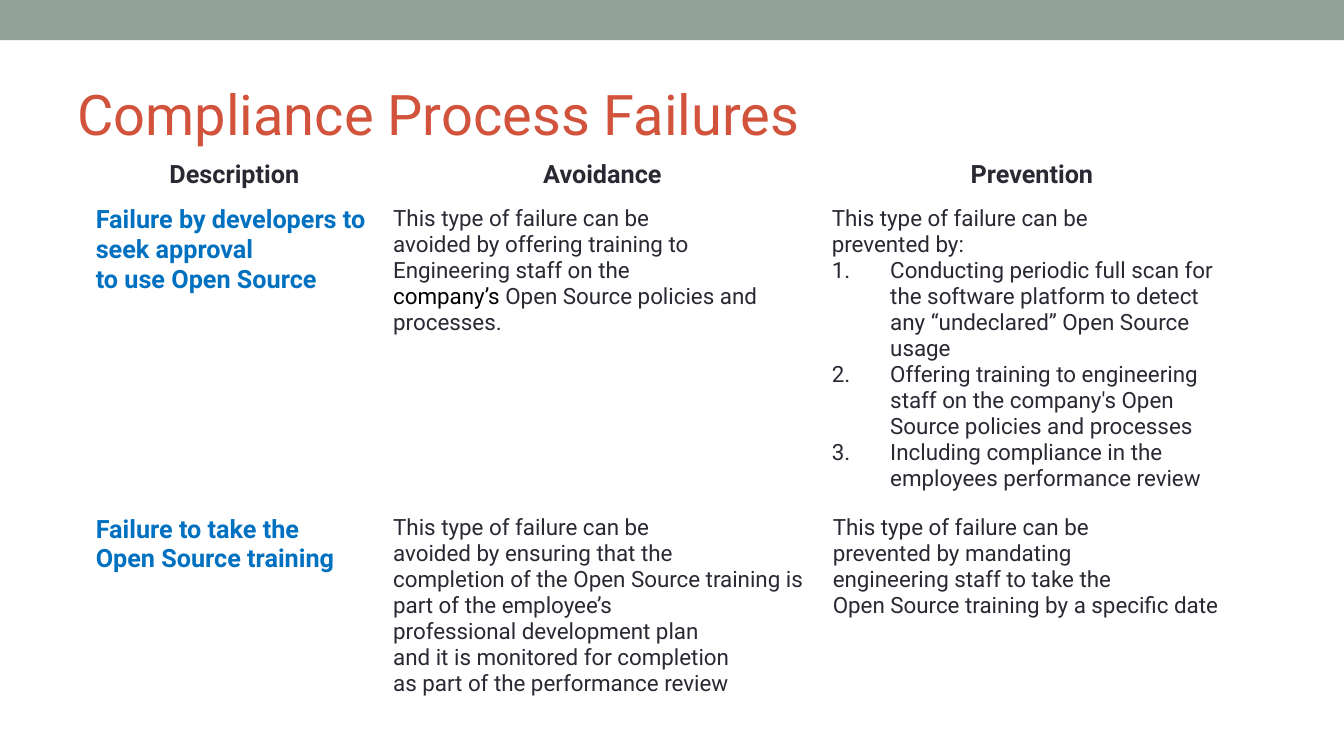
import pptx
import pptx.util
import pptx.dml.color
import pptx.enum.shapes
import pptx.enum.text
import pptx.oxml
import pptx.oxml.ns
from lxml import etree

Inches = pptx.util.Inches
align = pptx.enum.text.PP_ALIGN
qn = pptx.oxml.ns.qn

COLORS = {"band": "93A299", "title": "D2533C", "ink": "292934",
          "topic": "0070C0", "black": "000000", "white": "FFFFFF"}
FONT = "Roboto"
TITLE = "Compliance Process Failures"
HEADS = ["Description", "Avoidance", "Prevention"]
FAILS = [
    {"topic": ["Failure by developers to seek approval", "to use Open Source"],
     "avoid": ["This type of failure can be",
               "avoided by offering training to",
               "Engineering staff on the",
               [("company’s ", "black"), ("Open Source policies and", "ink")],
               "processes."],
     "prevent": ["This type of failure can be", "prevented by:"],
     "steps": ["Conducting periodic full scan for the software platform to detect "
               "any “undeclared” Open Source usage",
               "Offering training to engineering staff on the company's Open Source "
               "policies and processes",
               "Including compliance in the employees performance review"]},
    {"topic": ["Failure to take the", "Open Source training"],
     "avoid": ["This type of failure can be",
               "avoided by ensuring that the",
               "completion of the Open Source training is",
               "part of the employee’s",
               "professional development plan",
               "and it is monitored for completion",
               "as part of the performance review"],
     "prevent": ["This type of failure can be",
                 "prevented by mandating",
                 "engineering staff to take the",
                 "Open Source training by a specific date"],
     "steps": []},
]
COLS = [2.94, 4.36, 4.16]
ROWS = [0.45, 3.07, 2.18]
HANG = (0.38, -0.37)
DEEP = (0.58, -0.58)


def rgb(name):
    return pptx.dml.color.RGBColor.from_string(COLORS[name])


def write(frame, lines, size=16, color="ink", bold=False, side=align.LEFT,
          hang=(0, 0), steps=()):
    frame.word_wrap = True
    for i, line in enumerate([*lines, *steps]):
        para = frame.paragraphs[0] if i == 0 else frame.add_paragraph()
        para.alignment = side
        props = para._p.get_or_add_pPr()
        props.set("marL", str(Inches(hang[0])))
        props.set("indent", str(Inches(hang[1])))
        if i >= len(lines):
            etree.SubElement(props, qn("a:buFont"), typeface="+mj-lt")
            etree.SubElement(props, qn("a:buAutoNum"), type="arabicPeriod")
        for text, tint in [(line, color)] if isinstance(line, str) else line:
            run = para.add_run()
            run.text = text
            run.font.name = FONT
            run.font.size = pptx.util.Pt(size)
            run.font.bold = bold
            run.font.color.rgb = rgb(tint)


def border(cell):
    props = cell._tc.get_or_add_tcPr()
    for spot, tag in enumerate(["a:lnL", "a:lnR", "a:lnT", "a:lnB"]):
        line = etree.Element(qn(tag), w=str(pptx.util.Pt(0.06)))
        fill = etree.SubElement(line, qn("a:solidFill"))
        etree.SubElement(fill, qn("a:srgbClr"), val=COLORS["white"])
        props.insert(spot, line)


deck = pptx.Presentation()
deck.slide_width, deck.slide_height = Inches(13.33), Inches(7.5)
slide = deck.slides.add_slide(deck.slide_layouts[6])

band = slide.shapes.add_shape(pptx.enum.shapes.MSO_SHAPE.RECTANGLE,
                              0, 0, deck.slide_width, Inches(0.4))
band.shadow.inherit = False
band.fill.solid()
band.fill.fore_color.rgb = rgb("band")
band.line.fill.background()

title = slide.shapes.add_textbox(Inches(0.67), Inches(0.58), Inches(12), Inches(1.08))
title.text_frame.vertical_anchor = pptx.enum.text.MSO_ANCHOR.MIDDLE
write(title.text_frame, [TITLE], size=40, color="title")

table = slide.shapes.add_table(len(ROWS), len(COLS), Inches(0.85), Inches(1.54),
                               Inches(sum(COLS)), Inches(sum(ROWS))).table
table.first_row = table.horz_banding = False
for col, width in zip(table.columns, COLS):
    col.width = Inches(width)
for row, height in zip(table.rows, ROWS):
    row.height = Inches(height)
for cell in table.iter_cells():
    cell.fill.solid()
    cell.fill.fore_color.rgb = rgb("white")
    border(cell)

for c, head in enumerate(HEADS):
    write(table.cell(0, c).text_frame, [head], size=18, bold=True,
          side=align.CENTER, hang=HANG)
for r, fail in enumerate(FAILS, 1):
    topic, avoid, prevent = [table.cell(r, c).text_frame for c in range(3)]
    write(topic, fail["topic"], size=18, color="topic", bold=True)
    write(avoid, fail["avoid"], hang=HANG)
    write(prevent, fail["prevent"], hang=DEEP if fail["steps"] else HANG,
          steps=fail["steps"])

deck.save("out.pptx")
